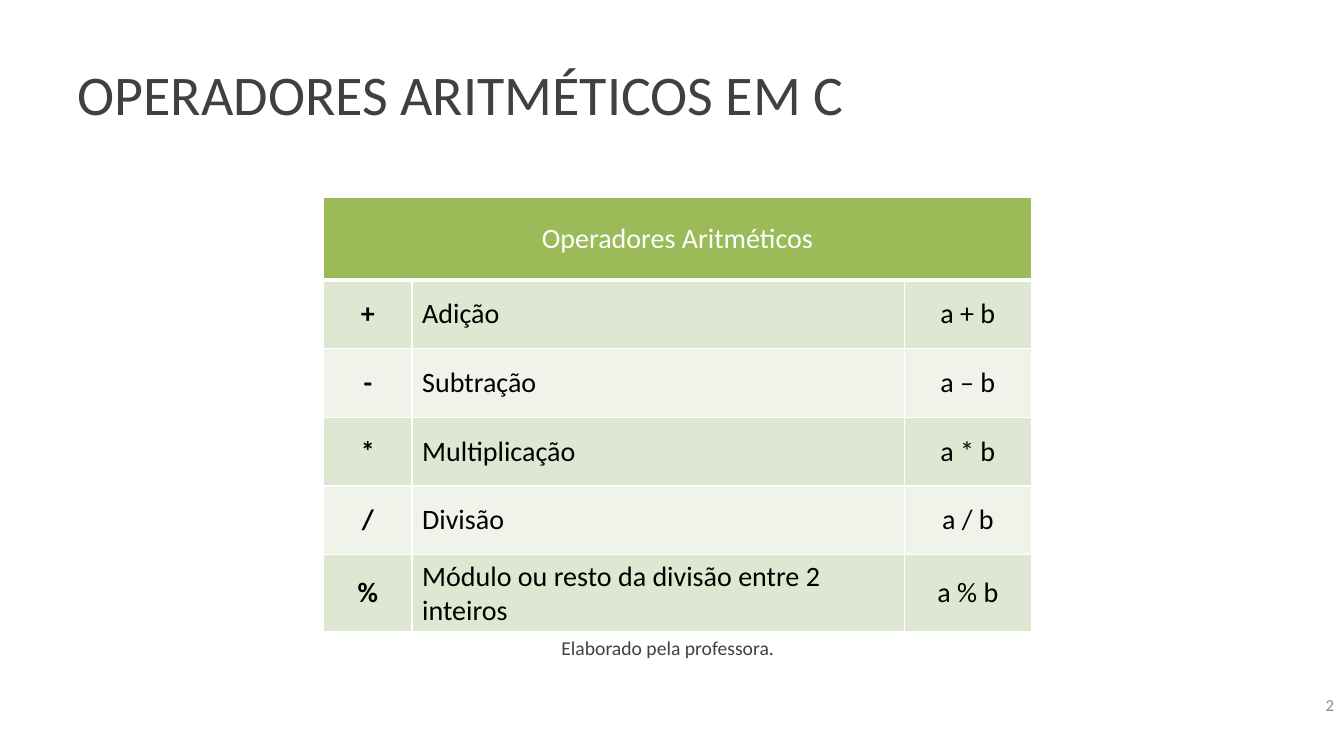
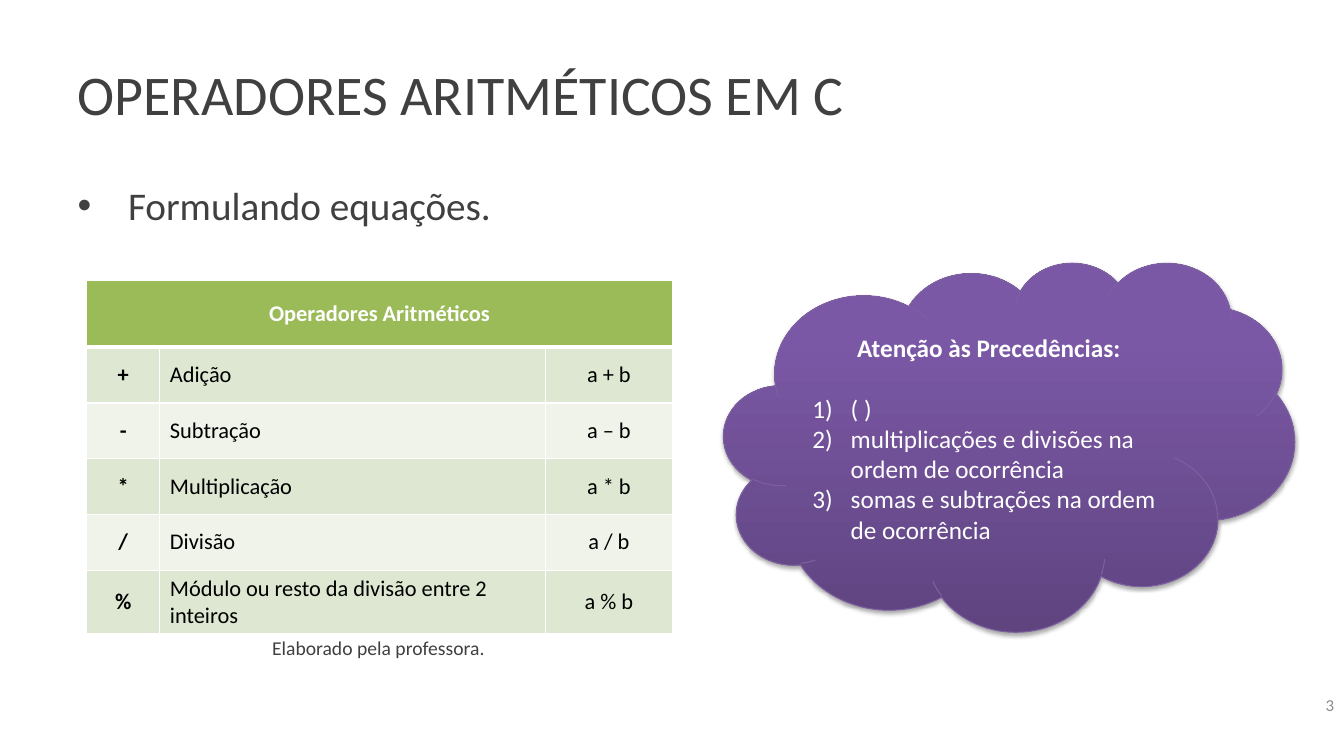
from lxml import etree
from pptx import Presentation
from pptx import util as u
from pptx.dml.color import RGBColor
from pptx.enum import shapes, text
from pptx.oxml import parse_xml
from pptx.oxml.ns import qn

# Shared look
WIDTH, HEIGHT = 13.33, 7.5
FONT = "Calibri"
INK, GREY, WHITE, BLACK = "404040", "8C8C8C", "FFFFFF", "000000"
GREEN, BANDS = "9BBB59", ("DEE7D1", "EFF3EA")
CLOUD_STOPS = ((0, "5F4480"), (80, "7B58A6"), (100, "7C57A8"))
CLOUD_LINE = "7D60A0"
LEFT, CENTER, RIGHT = (text.PP_ALIGN.LEFT, text.PP_ALIGN.CENTER,
                       text.PP_ALIGN.RIGHT)
MIDDLE = text.MSO_ANCHOR.MIDDLE
DRAWING = 'xmlns:a="http://schemas.openxmlformats.org/drawingml/2006/main"'

TITLE = "OPERADORES ARITMÉTICOS EM C"
HEADER = "Operadores Aritméticos"
CAPTION = "Elaborado pela professora."
OPERATORS = (
    ("+", "Adição", "a + b"),
    ("-", "Subtração", "a – b"),
    ("*", "Multiplicação", "a * b"),
    ("/", "Divisão", "a / b"),
    ("%", "Módulo ou resto da divisão entre 2 inteiros", "a % b"),
)
PRECEDENCES = (
    "( )",
    "multiplicações e divisões na ordem de ocorrência",
    "somas e subtrações na ordem de ocorrência",
)


def color(value):
    return RGBColor.from_string(value)


def inches(*lengths):
    return [u.Inches(length) for length in lengths]


def write(para, words, size=18, ink=INK, bold=False, align=LEFT, before=0):
    para.alignment = align
    para.space_before = u.Pt(before)
    span = para.add_run()
    span.text = words
    span.font.name, span.font.size, span.font.bold = FONT, u.Pt(size), bold
    span.font.color.rgb = color(ink)


def add_bullet(para, indent, tag, **marks):
    """Hang the paragraph by indent inches behind a bullet or number."""
    props = para._p.get_or_add_pPr()
    props.set("marL", str(u.Inches(indent)))
    props.set("indent", str(-u.Inches(indent)))
    etree.SubElement(props, qn("a:buFont"), typeface="Arial" if tag == "a:buChar" else "+mj-lt")
    etree.SubElement(props, qn(tag), **marks)


def place(shape, left, top, width, height):
    shape.left, shape.top, shape.width, shape.height = inches(
        left, top, width, height)


def set_borders(cell, top=1, bottom=1):
    props = cell._tc.get_or_add_tcPr()
    for side, points in zip("LRTB", (1, 1, top, bottom)):
        props.append(parse_xml(
            f'<a:ln{side} {DRAWING} w="{u.Pt(points)}"><a:solidFill>'
            f'<a:srgbClr val="{WHITE}"/></a:solidFill></a:ln{side}>'))


def add_page(deck, layout, number):
    """Slide with the shared title and page number."""
    page = deck.slides.add_slide(deck.slide_layouts[layout])
    title = page.shapes.title
    place(title, 0.67, 0.3, 12, 1.25)
    title.text_frame.vertical_anchor = MIDDLE
    write(title.text_frame.paragraphs[0], TITLE, size=40)

    box = page.shapes.add_textbox(*inches(WIDTH - 3.11, 6.79, 3.11, 0.4))
    box.text_frame.word_wrap = True
    box.text_frame.vertical_anchor = MIDDLE
    write(box.text_frame.paragraphs[0], str(number), size=12, ink=GREY,
          align=RIGHT)
    return page


def add_operator_table(page, left, top, width, height, size, bold_header):
    table = page.shapes.add_table(len(OPERATORS) + 1, 3, *inches(
        left, top, width, height)).table
    symbol, example = 0.125 * width, 1.26
    for column, length in zip(table.columns,
                              (symbol, width - symbol - example, example)):
        column.width = u.Inches(length)
    for row, share in zip(table.rows, (0.19, *[0.158] * 4, 0.178)):
        row.height = u.Inches(share * height)

    for r, words in enumerate(((HEADER, "", ""), *OPERATORS)):
        for c, word in enumerate(words):
            cell = table.cell(r, c)
            cell.vertical_anchor = MIDDLE
            set_borders(cell, top=3 if r == 1 else 1, bottom=3 if r == 0 else 1)
            cell.fill.solid()
            cell.fill.fore_color.rgb = color(BANDS[(r - 1) % 2] if r else GREEN)
            if word:
                write(cell.text_frame.paragraphs[0], word, size=size,
                      ink=BLACK if r else WHITE,
                      bold=c == 0 if r else bold_header,
                      align=CENTER if c != 1 else LEFT)
    table.cell(0, 0).merge(table.cell(0, 2))


def add_caption(page, left):
    box = page.shapes.add_textbox(*inches(left, 6.26, 2.33, 0.34))
    box.text_frame.word_wrap = False
    box.text_frame.auto_size = text.MSO_AUTO_SIZE.SHAPE_TO_FIT_TEXT
    write(box.text_frame.paragraphs[0], CAPTION, size=14)


def add_precedence_cloud(page, left, top, width, height):
    cloud = page.shapes.add_shape(shapes.MSO_SHAPE.CLOUD, *inches(
        left, top, width, height))
    cloud.line.color.rgb = color(CLOUD_LINE)
    cloud.line.width = u.Pt(0.75)

    # Gradient from the bottom up, and a soft shadow below
    stops = "".join(f'<a:gs pos="{at * 1000}"><a:srgbClr val="{tone}"/></a:gs>'
                    for at, tone in CLOUD_STOPS)
    props = cloud._element.spPr
    props.find(qn("a:prstGeom")).addnext(parse_xml(
        f'<a:gradFill {DRAWING} rotWithShape="1"><a:gsLst>{stops}</a:gsLst>'
        '<a:lin ang="16200000" scaled="0"/></a:gradFill>'))
    props.append(parse_xml(
        f'<a:effectLst {DRAWING}><a:outerShdw blurRad="{u.Pt(3.1)}" '
        f'dist="{u.Pt(1.8)}" dir="5400000" rotWithShape="0">'
        f'<a:srgbClr val="{BLACK}"><a:alpha val="35000"/></a:srgbClr>'
        '</a:outerShdw></a:effectLst>'))

    # Heading and numbered list
    frame = cloud.text_frame
    frame.word_wrap = True
    frame.vertical_anchor = MIDDLE
    write(frame.paragraphs[0], "Atenção às Precedências:", ink=WHITE,
          bold=True, align=CENTER)
    for index, rule in enumerate(PRECEDENCES):
        para = frame.add_paragraph()
        add_bullet(para, 0.38, "a:buAutoNum", type="arabicParenR")
        write(para, rule, ink=WHITE, before=0 if index else 22)


def add_overview(deck):
    page = add_page(deck, 5, 2)
    add_operator_table(page, 3.21, 1.96, 7.02, 4.31, size=20,
                       bold_header=False)
    add_caption(page, 5.47)


def add_equations(deck):
    page = add_page(deck, 1, 3)
    body = page.placeholders[1]
    place(body, 0.67, 1.75, 12, 4.95)
    para = body.text_frame.paragraphs[0]
    add_bullet(para, 0.5, "a:buChar", char="•")
    write(para, "Formulando equações.", size=28, align=text.PP_ALIGN.JUSTIFY)
    add_operator_table(page, 0.86, 2.78, 5.81, 3.5, size=16, bold_header=True)
    add_precedence_cloud(page, 7.18, 2.6, 5.66, 3.66)
    add_caption(page, 2.6)


def main():
    deck = Presentation()
    deck.slide_width, deck.slide_height = inches(WIDTH, HEIGHT)
    add_overview(deck)
    add_equations(deck)
    deck.save("out.pptx")


if __name__ == "__main__":
    main()
